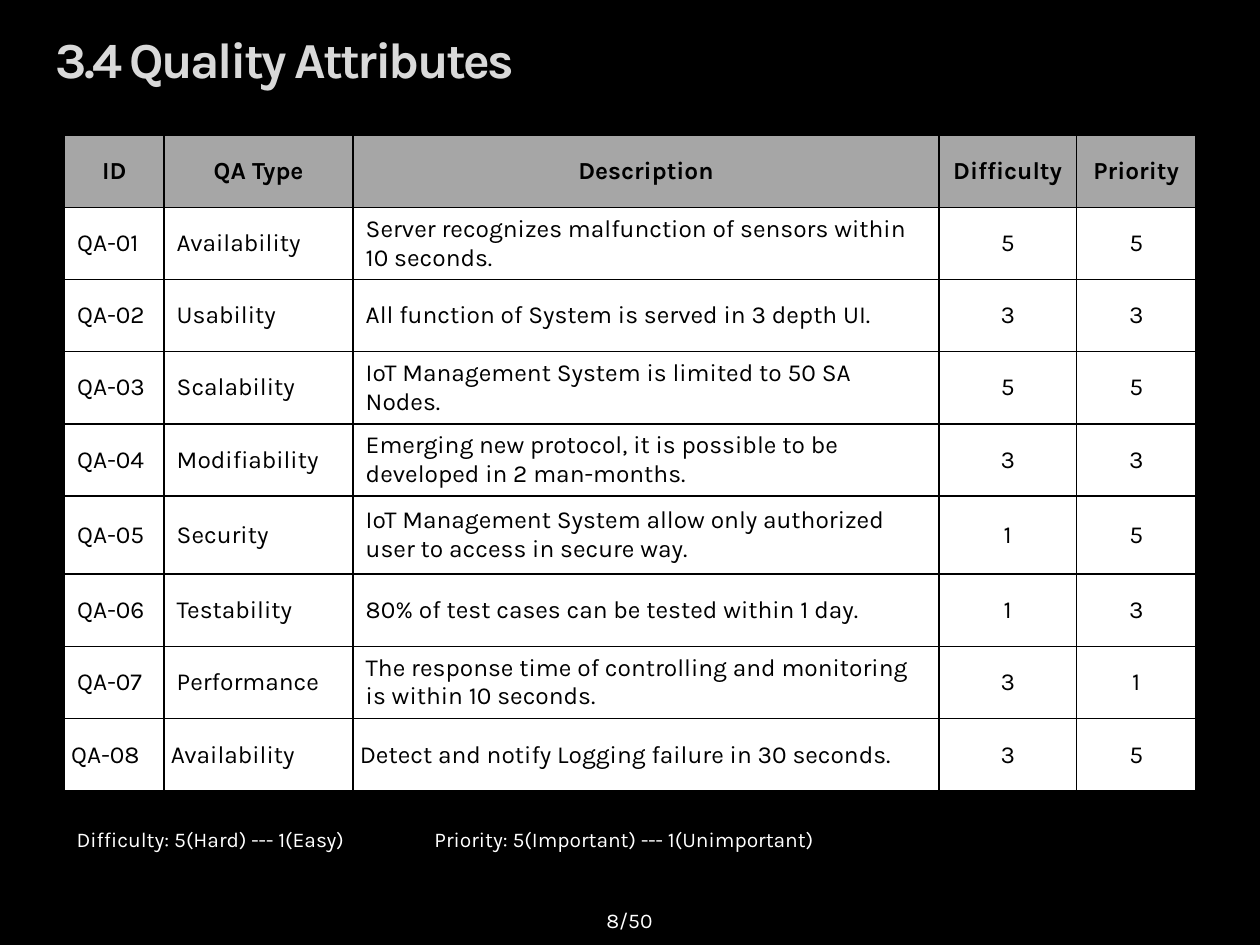
from dataclasses import dataclass

from lxml import etree
from pptx import Presentation
from pptx.dml import color
from pptx.enum import text
from pptx.oxml import ns
from pptx.util import Pt

FONT = "Karla"
BLACK, WHITE, GRAY = "000000", "FFFFFF", "A6A6A6"
LEFT, CENTER = text.PP_ALIGN.LEFT, text.PP_ALIGN.CENTER
MIDDLE, TOP = text.MSO_ANCHOR.MIDDLE, text.MSO_ANCHOR.TOP

COLUMN_WIDTHS = [56.9, 108, 334.8, 78.5, 68.4]
COLUMN_ALIGNMENTS = [LEFT, LEFT, LEFT, CENTER, CENTER]
ROW_HEIGHT, TALL_ROW_HEIGHT, TALL_ROW = 41.2, 44.8, 5
HEADERS = ["ID", "QA Type", "Description", "Difficulty", "Priority"]


@dataclass
class QualityAttribute:
    kind: str
    description: str
    difficulty: int
    priority: int


@dataclass
class Label:
    content: str
    left: float
    top: float
    width: float
    height: float
    align: text.PP_ALIGN = LEFT
    anchor: text.MSO_ANCHOR = TOP
    wrap: bool = False


ATTRIBUTES = [
    QualityAttribute("Availability", "Server recognizes malfunction of sensors within 10 seconds.", 5, 5),
    QualityAttribute("Usability", "All function of System is served in 3 depth UI.", 3, 3),
    QualityAttribute("Scalability", "IoT Management System is limited to 50 SA Nodes.", 5, 5),
    QualityAttribute("Modifiability", "Emerging new protocol, it is possible to be developed in 2 man-months.", 3, 3),
    QualityAttribute("Security", "IoT Management System allow only authorized user to access in secure way.", 1, 5),
    QualityAttribute("Testability", "80% of test cases can be tested within 1 day.", 1, 3),
    QualityAttribute("Performance", "The response time of controlling and monitoring is within 10 seconds.", 3, 1),
    QualityAttribute("Availability", "Detect and notify Logging failure in 30 seconds.", 3, 5),
]

LABELS = [
    Label("Priority: 5(Important) --- 1(Unimportant)", 241.2, 468.7, 234.7, 21.6),
    Label("Difficulty: 5(Hard) --- 1(Easy)", 36.7, 468.7, 172.1, 21.6),
    Label("8/50", 275.8, 511.2, 167.8, 28.8, CENTER, MIDDLE, True),
]


def rgb(value: str) -> color.RGBColor:
    return color.RGBColor.from_string(value)


def write(frame, content: str, *, size: float, fill: str, bold=False, align=LEFT):
    paragraph = frame.paragraphs[0]
    paragraph.alignment = align
    run = paragraph.add_run()
    run.text = content
    run.font.name = FONT
    run.font.size = Pt(size)
    run.font.bold = bold
    run.font.color.rgb = rgb(fill)
    return run


def add_gradient(run, stops: dict[int, str], angle: int) -> None:
    properties = run.font._element
    properties.remove(properties.find(ns.qn("a:solidFill")))
    gradient = etree.Element(ns.qn("a:gradFill"))
    stop_list = etree.SubElement(gradient, ns.qn("a:gsLst"))
    for position, value in stops.items():
        stop = etree.SubElement(stop_list, ns.qn("a:gs"), pos=str(position * 1000))
        etree.SubElement(stop, ns.qn("a:srgbClr"), val=value)
    etree.SubElement(gradient, ns.qn("a:lin"), ang=str(angle * 60000), scaled="0")
    properties.insert(0, gradient)


def add_title(slide, content: str) -> None:
    title = slide.shapes.title
    title.left, title.top, title.width, title.height = Pt(24.5), Pt(15.1), Pt(658), Pt(36.7)
    frame = title.text_frame
    frame.auto_size = text.MSO_AUTO_SIZE.NONE
    frame.vertical_anchor = MIDDLE
    run = write(frame, content, size=28.8, fill="D9D9D9", bold=True)
    run.font._element.set("spc", "-150")
    add_gradient(run, {1: "F2F2F2", 50: "D9D9D9", 100: "595959"}, 90)


def add_label(slide, label: Label) -> None:
    shape = slide.shapes.add_textbox(Pt(label.left), Pt(label.top), Pt(label.width), Pt(label.height))
    frame = shape.text_frame
    frame.word_wrap = label.wrap
    frame.vertical_anchor = label.anchor
    if not label.wrap:
        frame.auto_size = text.MSO_AUTO_SIZE.SHAPE_TO_FIT_TEXT
    write(frame, label.content, size=12, fill=WHITE, align=label.align)


def add_borders(cell, value: str, width: float) -> None:
    properties = cell._tc.get_or_add_tcPr()
    for side in ("lnL", "lnR", "lnT", "lnB"):
        line = etree.SubElement(properties, ns.qn(f"a:{side}"), w=str(Pt(width)))
        fill = etree.SubElement(line, ns.qn("a:solidFill"))
        etree.SubElement(fill, ns.qn("a:srgbClr"), val=value)


def fill_cell(cell, content: str, *, fill: str, bold: bool, align) -> None:
    add_borders(cell, BLACK, 1)
    cell.fill.solid()
    cell.fill.fore_color.rgb = rgb(fill)
    cell.vertical_anchor = MIDDLE
    write(cell.text_frame, content, size=14, fill=BLACK, bold=bold, align=align)


def add_attribute_table(slide, attributes: list[QualityAttribute]) -> None:
    rows = [HEADERS] + [
        [f"QA-{number:02}", item.kind, item.description, str(item.difficulty), str(item.priority)]
        for number, item in enumerate(attributes, 1)
    ]
    heights = [TALL_ROW_HEIGHT if index == TALL_ROW else ROW_HEIGHT for index in range(len(rows))]
    table = slide.shapes.add_table(
        len(rows), len(HEADERS), Pt(36.9), Pt(77.4), Pt(sum(COLUMN_WIDTHS)), Pt(sum(heights))
    ).table
    table.horz_banding = False
    for column, width in zip(table.columns, COLUMN_WIDTHS):
        column.width = Pt(width)
    for index, (row, height, contents) in enumerate(zip(table.rows, heights, rows)):
        row.height = Pt(height)
        header = index == 0
        for cell, content, align in zip(row.cells, contents, COLUMN_ALIGNMENTS):
            fill_cell(cell, content, fill=GRAY if header else WHITE, bold=header,
                      align=CENTER if header else align)
    for cell, align in zip(table.rows[len(rows) - 1].cells, COLUMN_ALIGNMENTS):
        cell.margin_left = Pt(3.8 if align == LEFT else 0.7)
        cell.margin_right = cell.margin_top = Pt(0.7)
        cell.margin_bottom = Pt(0)


def main() -> None:
    presentation = Presentation()
    presentation.slide_width, presentation.slide_height = Pt(720), Pt(540)
    slide = presentation.slides.add_slide(presentation.slide_layouts[5])
    slide.background.fill.solid()
    slide.background.fill.fore_color.rgb = rgb(BLACK)
    add_title(slide, "3.4 Quality Attributes")
    add_attribute_table(slide, ATTRIBUTES)
    for label in LABELS:
        add_label(slide, label)
    presentation.save("out.pptx")


if __name__ == "__main__":
    main()
